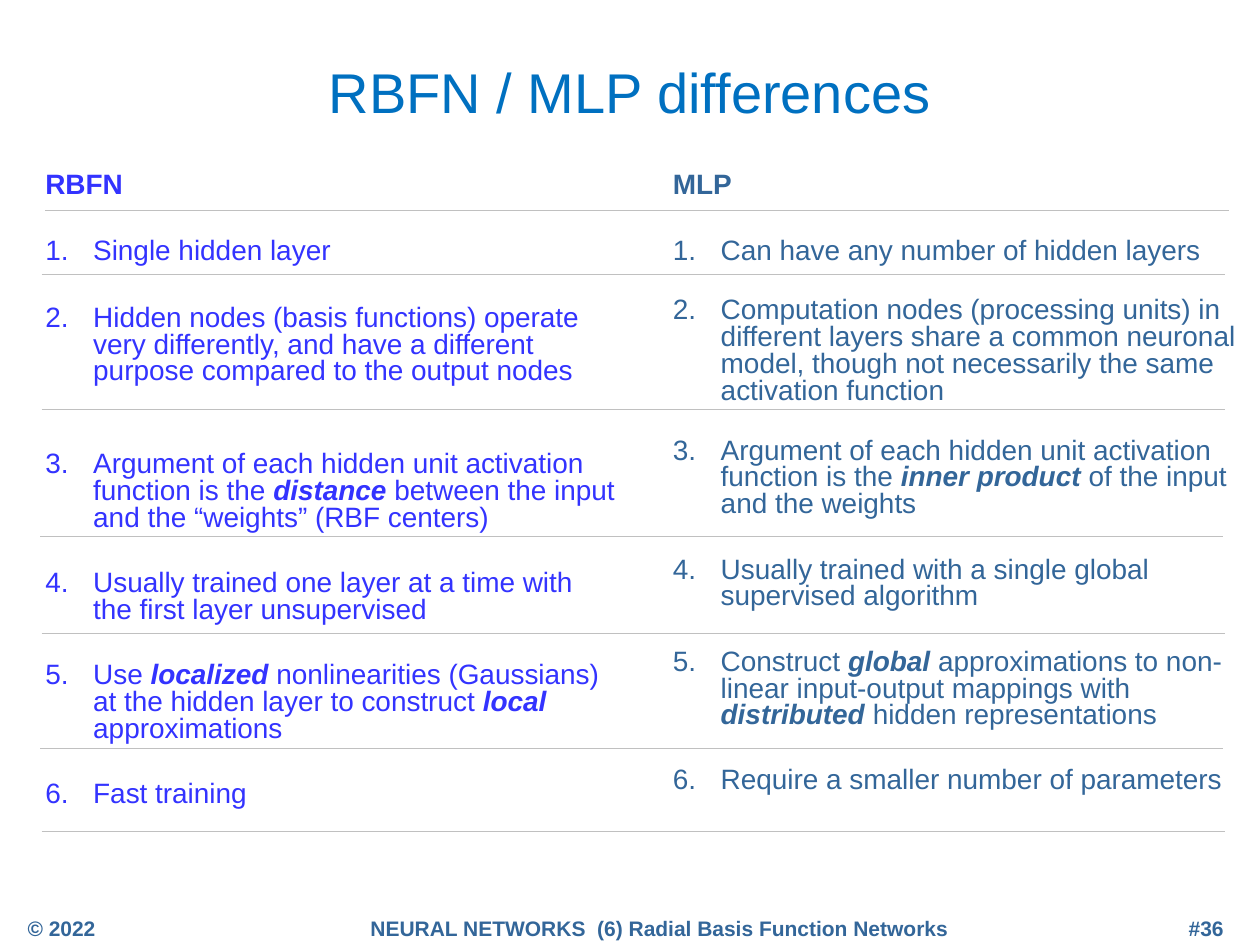
from lxml import etree
from pptx import Presentation
from pptx import util as u
from pptx.dml import color
from pptx.enum import shapes, text
from pptx.oxml import ns

NAVY, BLUE, TITLE_BLUE, GREY = "336699", "3333FF", "0070C0", "C0C0C0"
INDENT = u.Inches(0.38)

RBFN = [
    (22.4, ["Single hidden layer"]),
    (22.9, ["Hidden nodes (basis functions) operate very differently, and have a "
            "different purpose compared to the output nodes"]),
    (37.8, ["Argument of each hidden unit activation function is the ", "distance ",
            "between the input and the “weights” (RBF centers)"]),
    (21.7, ["Usually trained one layer at a time with the first layer unsupervised"]),
    (21.7, ["Use ", "localized ", "nonlinearities (Gaussians) at the hidden layer to construct ",
            "local ", "approximations"]),
    (21.7, ["Fast training"]),
]
MLP = [
    (22.4, ["Can have any number of hidden layers"]),
    (18.7, ["Computation nodes (processing units) in different layers share a common "
            "neuronal model, though not necessarily the same activation function"]),
    (18.7, ["Argument of each hidden unit activation function is the ", "inner product ",
            "of the input and the weights"]),
    (21.9, ["Usually trained with a single global supervised algorithm"]),
    (21.9, ["Construct ", "global ", "approximations to non-linear input-output mappings with ",
            "distributed ", "hidden representations"]),
    (21.7, ["Require a smaller number of parameters"]),
]
RULES = [(0.36, 1.67), (0.33, 2.18), (0.33, 3.25), (0.32, 4.26),
         (0.33, 5.03), (0.32, 5.94), (0.33, 6.6)]
FOOTERS = [
    ((0.12, 7.22, 2.69, 0.24), "© 2022", text.PP_ALIGN.LEFT),
    ((2.48, 7.22, 5.51, 0.24), "NEURAL NETWORKS  (6) Radial Basis Function Networks",
     text.PP_ALIGN.CENTER),
    ((7.2, 7.22, 2.61, 0.24), "#36", text.PP_ALIGN.RIGHT),
]


def rgb(value):
    return color.RGBColor.from_string(value)


def place(part, box):
    part.left, part.top, part.width, part.height = map(u.Inches, box)


def add_run(paragraph, wording, size, shade, bold=False, italic=False):
    run = paragraph.add_run()
    run.text = wording
    run.font.name = "Arial"
    run.font.size = u.Pt(size)
    run.font.color.rgb = rgb(shade)
    run.font.bold = bold
    run.font.italic = italic


def set_bullet(paragraph, numbered):
    properties = paragraph._p.get_or_add_pPr()
    properties.set("marL", str(INDENT))
    properties.set("indent", str(-INDENT))
    if numbered:
        etree.SubElement(properties, ns.qn("a:buFont"), typeface="+mj-lt")
        etree.SubElement(properties, ns.qn("a:buAutoNum"), type="arabicPeriod")
    else:
        etree.SubElement(properties, ns.qn("a:buNone"))


def fill_title(title, box):
    place(title, box)
    frame = title.text_frame
    frame.auto_size = text.MSO_AUTO_SIZE.NONE
    frame.vertical_anchor = text.MSO_ANCHOR.MIDDLE
    heading = frame.paragraphs[0]
    heading.alignment = text.PP_ALIGN.CENTER
    add_run(heading, "RBFN / MLP differences", 32, TITLE_BLUE)


def fill_column(body, box, heading, points, shade):
    place(body, box)
    frame = body.text_frame
    frame.auto_size = text.MSO_AUTO_SIZE.NONE
    frame.vertical_anchor = text.MSO_ANCHOR.TOP
    for row, (gap, pieces) in enumerate([(3.2, [heading])] + points):
        point = frame.paragraphs[0] if row == 0 else frame.add_paragraph()
        point.line_spacing = 0.8
        point.space_before = u.Pt(gap)
        point.space_after = u.Pt(0)
        set_bullet(point, numbered=row > 0)
        for position, wording in enumerate(pieces):
            emphasis = position % 2 == 1
            add_run(point, wording, 16, shade, bold=emphasis or row == 0, italic=emphasis)


def add_rule(slide, left, top):
    rule = slide.shapes.add_connector(
        shapes.MSO_CONNECTOR.STRAIGHT,
        u.Inches(left), u.Inches(top), u.Inches(left + 9.39), u.Inches(top))
    rule.line.color.rgb = rgb(GREY)
    rule.line.width = u.Pt(0.75)
    etree.SubElement(rule._element.spPr, ns.qn("a:effectLst"))


def add_footer(slide, box, wording, alignment):
    footer = slide.shapes.add_textbox(*map(u.Inches, box))
    footer.text_frame.word_wrap = True
    line = footer.text_frame.paragraphs[0]
    line.alignment = alignment
    add_run(line, wording, 12, NAVY, bold=True)


def main():
    deck = Presentation()
    deck.slide_width, deck.slide_height = u.Inches(10), u.Inches(7.5)
    slide = deck.slides.add_slide(deck.slide_layouts.get_by_name("Two Content"))
    fill_title(slide.shapes.title, (0.5, 0.3, 9, 0.85))
    fill_column(slide.placeholders[1], (0.26, 1.32, 4.74, 5.59), "RBFN", RBFN, BLUE)
    fill_column(slide.placeholders[2], (5.24, 1.32, 4.74, 5.59), "MLP", MLP, NAVY)
    for left, top in RULES:
        add_rule(slide, left, top)
    for box, wording, alignment in FOOTERS:
        add_footer(slide, box, wording, alignment)
    deck.save("out.pptx")


if __name__ == "__main__":
    main()
